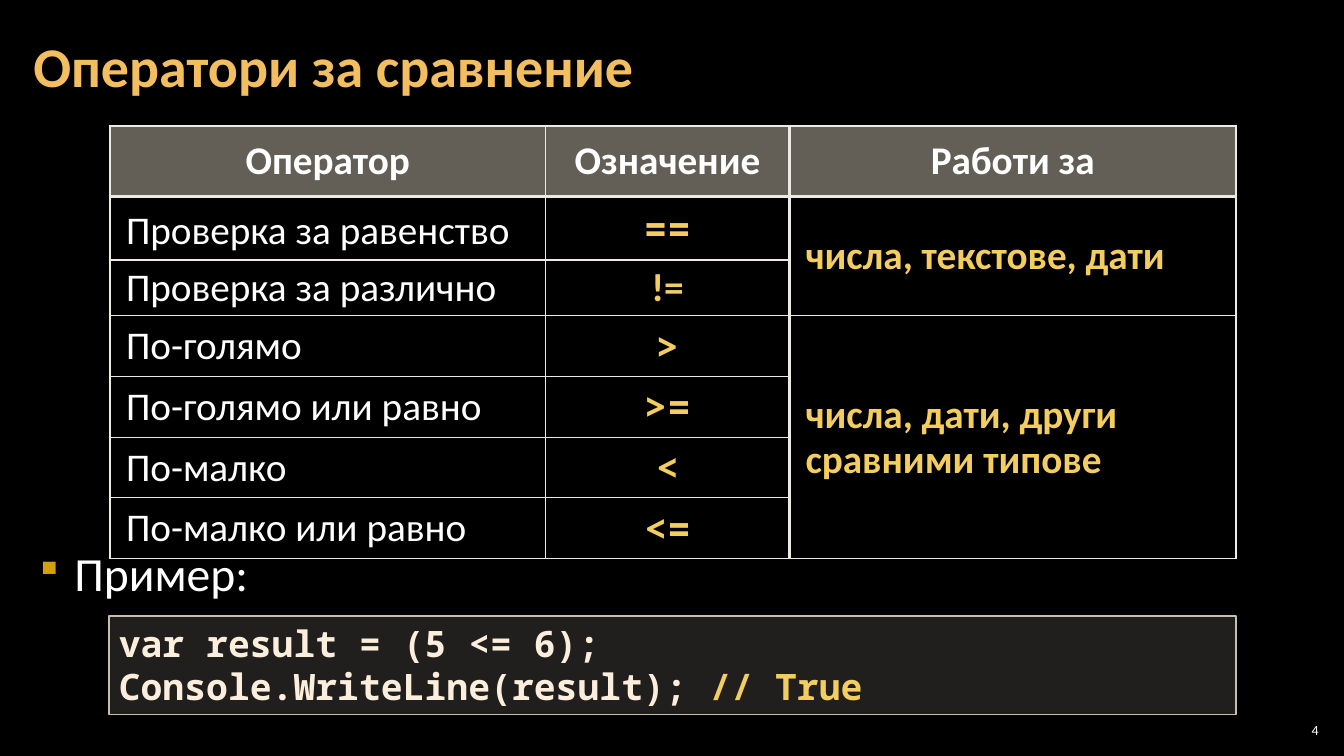
"""Build a slide on comparison operators with a table and a code example."""
from lxml import etree
from pptx import Presentation
from pptx import util as u
from pptx.dml.color import RGBColor
from pptx.enum import shapes, text
from pptx.oxml import ns

PX = 9144
BLACK = RGBColor(0x00, 0x00, 0x00)
WHITE = RGBColor(0xFF, 0xFF, 0xFF)
ORANGE = RGBColor(0xF3, 0xBE, 0x60)
YELLOW = RGBColor(0xF3, 0xCD, 0x60)
CREAM = RGBColor(0xFB, 0xEE, 0xDC)
SAND = RGBColor(0xC7, 0xBF, 0xAC)
PANEL = RGBColor(0xD9, 0xD5, 0xC7)
BORDER = RGBColor(0xEC, 0xEA, 0xE3)
GOLD = RGBColor(0xD2, 0xA0, 0x10)
SANS, MONO = "Calibri", "Noto Sans Mono"
LEFT, CENTER, RIGHT = text.PP_ALIGN.LEFT, text.PP_ALIGN.CENTER, text.PP_ALIGN.RIGHT


def style(item, size, color, bold=False, face=SANS):
    item.font.size = u.Pt(size)
    item.font.name = face
    item.font.bold = bold
    item.font.color.rgb = color


def add(parent, tag, **attributes):
    child = etree.SubElement(parent, ns.qn(tag))
    for name, value in attributes.items():
        child.set(name, str(value))
    return child


deck = Presentation()
deck.slide_width, deck.slide_height = 1333 * PX, 750 * PX
page = deck.slides.add_slide(deck.slide_layouts[6])
page.background.fill.solid()
page.background.fill.fore_color.rgb = BLACK

labels = [
    ("Оператор", "Означение", "Работи за"),
    ("Проверка за равенство", "==", "числа, текстове, дати"),
    ("Проверка за различно", "!=", ""),
    ("По-голямо", ">", "числа, дати, други сравними типове"),
    ("По-голямо или равно", ">=", ""),
    ("По-малко", "<", ""),
    ("По-малко или равно", "<=", ""),
]
widths = [432, 242, 443]
heights = [70, 63] + [54] * 5
column_edges = [2.25, 1, 2.25, 2.25]
row_edges = [2.25, 2.25] + [1] * 6
frame = page.shapes.add_table(len(heights), len(widths), 109 * PX, 125 * PX,
                              sum(widths) * PX, sum(heights) * PX)
table = frame.table
table.first_row = table.horz_banding = False
for column, width in zip(table.columns, widths):
    column.width = width * PX
for row, height in zip(table.rows, heights):
    row.height = height * PX
table.cell(1, 2).merge(table.cell(2, 2))
table.cell(3, 2).merge(table.cell(6, 2))

for r, line in enumerate(labels):
    for c, label in enumerate(line):
        cell = table.cell(r, c)
        cell.margin_left = cell.margin_right = 16 * PX
        cell.margin_top = cell.margin_bottom = 5 * PX
        cell.vertical_anchor = text.MSO_ANCHOR.MIDDLE
        properties = cell._tc.get_or_add_tcPr()
        edges = {"L": column_edges[c], "R": column_edges[c + 1],
                 "T": row_edges[r], "B": row_edges[r + 1]}
        for side, points in edges.items():
            edge = add(properties, f"a:ln{side}", w=u.Pt(points))
            add(add(edge, "a:solidFill"), "a:srgbClr", val=BORDER)
        if r == 0:
            cell.fill.solid()
            cell.fill.fore_color.rgb = SAND
            add(properties.find(".//a:solidFill[last()]/a:srgbClr[@val='C7BFAC']",
                                {"a": ns.namespaces("a")["a"]}), "a:alpha", val=50000)
        else:
            cell.fill.background()
        if label:
            cell.text_frame.text = label
            para = cell.text_frame.paragraphs[0]
            para.alignment = CENTER if r == 0 or c == 1 else LEFT
            para.line_spacing = u.Pt(38) if (r, c) == (1, 0) else 0.95
            face = MONO if c == 1 and r not in (0, 2) else SANS
            style(para.runs[0], 28, WHITE if r == 0 or c == 0 else YELLOW, r == 0 or c > 0, face)

code = page.shapes.add_shape(shapes.MSO_SHAPE.RECTANGLE, 108 * PX, 611 * PX, 1118 * PX, 98 * PX)
code.shadow.inherit = False
code.fill.solid()
code.fill.fore_color.rgb = PANEL
add(code._element.spPr.find(ns.qn("a:solidFill"))[0], "a:alpha", val=15000)
code.line.color.rgb = SAND
code.line.width = u.Pt(1)
code.text_frame.vertical_anchor = text.MSO_ANCHOR.TOP
code.text_frame.text = "var result = (5 <= 6);\nConsole.WriteLine(result); "
comment = code.text_frame.paragraphs[1].add_run()
comment.text = "// True"
for para in code.text_frame.paragraphs:
    para.alignment = LEFT
    for span in para.runs:
        style(span, 26, CREAM, True, MONO)
comment.font.color.rgb = YELLOW

captions = [
    ("Оператори за сравнение", (21, 4, 1291, 121), (12, 4), 40, ORANGE, True, LEFT),
    ("Пример:", (25, 539, 950, 75), (10, 5), 34, WHITE, False, LEFT),
    ("4", (1265, 714, 47, 21), (4, 4), 10, WHITE, False, RIGHT),
]
for caption, place, (side, end), size, color, bold, align in captions:
    box = page.shapes.add_textbox(*[length * PX for length in place])
    body = box.text_frame
    body.word_wrap = True
    body.margin_left = body.margin_right = side * PX
    body.margin_top = body.margin_bottom = end * PX
    body.vertical_anchor = text.MSO_ANCHOR.MIDDLE
    body.text = caption
    para = body.paragraphs[0]
    para.alignment = align
    if caption == "Пример:":
        body.vertical_anchor = text.MSO_ANCHOR.TOP
        para.line_spacing = u.Pt(38)
        para.space_after = u.Pt(6)
        bullet = para._p.get_or_add_pPr()
        bullet.set("marL", str(39 * PX))
        bullet.set("indent", str(-39 * PX))
        add(add(bullet, "a:buClr"), "a:srgbClr", val=GOLD)
        add(bullet, "a:buSzPct", val=80000)
        add(bullet, "a:buChar", char="▪")
    style(para.runs[0], size, color, bold)

deck.save("out.pptx")
